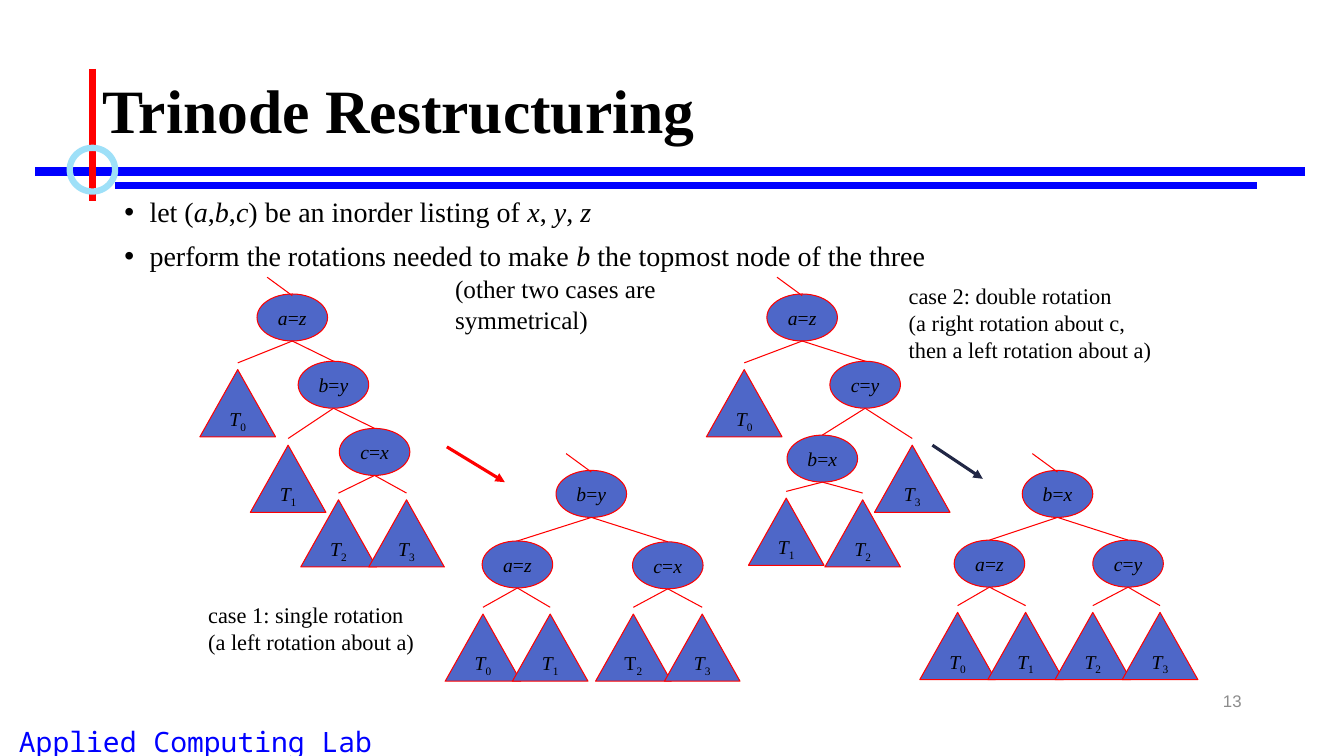
"""Build the slide on trinode restructuring, laid out on a grid of 160 columns by 90 rows."""
import dataclasses
import typing

import lxml.etree
import pptx
import pptx.dml.color
import pptx.enum.shapes
import pptx.enum.text
import pptx.oxml.ns
import pptx.util

RGB = pptx.dml.color.RGBColor
SHAPE = pptx.enum.shapes.MSO_SHAPE
ALIGN = pptx.enum.text.PP_ALIGN
ANCHOR = pptx.enum.text.MSO_ANCHOR

BLACK = RGB(0, 0, 0)
BLUE = RGB(0, 0, 0xFF)
RED = RGB(0xFF, 0, 0)
SKY = RGB(0x9E, 0xE0, 0xF8)
INDIGO = RGB(0x4E, 0x67, 0xC8)
NAVY = RGB(0x21, 0x27, 0x45)
GREY = RGB(0x8C, 0x8C, 0x8C)

SERIF = "Times New Roman"
CELL = pptx.util.Inches(1 / 12)
OVAL = (8.4, 5.6)
WEDGE = (9, 8)
GAP = 0.8
HAIR = 0.75


@dataclasses.dataclass(frozen=True)
class Node:
    label: str
    mid: float
    top: float
    kids: tuple["Node", ...] = ()


@dataclasses.dataclass(frozen=True)
class Rule:
    start: tuple[float, float]
    end: tuple[float, float]
    color: RGB
    width: float
    arrow: bool = False


@dataclasses.dataclass(frozen=True)
class Note:
    lines: tuple[str, ...]
    box: tuple[float, float, float, float]
    size: float
    face: str = SERIF
    color: RGB = BLACK
    align: ALIGN = ALIGN.LEFT
    anchor: ANCHOR = ANCHOR.TOP
    wrap: bool = True


TREES = (
    Node("*a*=*z*", 34.8, 35, (
        Node("*T*_0", 28.3, 44),
        Node("*b*=*y*", 39.7, 43, (
            Node("*T*_1", 34.3, 53),
            Node("*c*=*x*", 44.6, 51, (
                Node("*T*_2", 40.3, 59.5), Node("*T*_3", 48.4, 59.5))))))),
    Node("*b*=*y*", 70.4, 56, (
        Node("*a*=*z*", 61.6, 64.4, (
            Node("*T*_0", 57.5, 73.1), Node("*T*_1", 65.5, 73.1))),
        Node("*c*=*x*", 79.5, 64.5, (
            Node("T_2", 75.4, 73.1), Node("*T*_3", 83.6, 73.1))))),
    Node("*a*=*z*", 95.5, 35, (
        Node("*T*_0", 88.6, 44),
        Node("*c*=*y*", 103, 43, (
            Node("*b*=*x*", 97.9, 51.8, (
                Node("*T*_1", 93.6, 59.3), Node("*T*_2", 102.7, 59.5))),
            Node("*T*_3", 108.6, 53))))),
    Node("*b*=*x*", 125.9, 56, (
        Node("*a*=*z*", 117.8, 64.3, (
            Node("*T*_0", 114, 72.9), Node("*T*_1", 122.1, 72.9))),
        Node("*c*=*y*", 134.3, 64.3, (
            Node("*T*_2", 130.1, 72.9), Node("*T*_3", 138.1, 72.9))))),
)

RULES = (
    Rule((4.2, 20.4), (155.4, 20.4), BLUE, 6),
    Rule((13.7, 22.1), (149.6, 22.1), BLUE, 4.5),
    Rule((11, 8.2), (11, 23.9), RED, 4.5),
)
ARROWS = (
    Rule((53.2, 53.2), (60.1, 57.4), RED, 2.25, True),
    Rule((111, 53), (117, 57), NAVY, 2.25, True),
)
NOTES = (
    Note(("Applied Computing Lab",), (0.5, 85.6, 45.6, 4.4), 20,
         "Noto Sans Mono", BLUE, ALIGN.CENTER, wrap=False),
    Note(("13",), (113, 81, 36, 4.8), 12, "Arial", GREY, ALIGN.RIGHT, ANCHOR.MIDDLE),
    Note(("case 1: single rotation", "(a left rotation about a)"),
         (23.6, 71, 27.2, 7.7), 16, wrap=False),
    Note(("case 2: double rotation", "(a right rotation about c, then a left rotation about a)"),
         (107, 33, 33, 10.8), 16),
    Note(("(other two cases are symmetrical)",), (53, 32, 31.2, 8.5), 18),
)
POINTS = (
    "let (*a*,*b*,*c*) be an inorder listing of *x*, *y*, *z*",
    "perform the rotations needed to make *b* the topmost node of the three",
)


def grid(*cells: float) -> list[int]:
    return [round(cell * CELL) for cell in cells]


def write(para: typing.Any, text: str, size: float, face: str = SERIF, color: RGB = BLACK) -> None:
    font = para.font
    font.size, font.name = pptx.util.Pt(size), face
    font.color.rgb = color
    for turn, part in enumerate(text.split("*")):
        for low, bit in enumerate(part.split("_")):
            if not bit:
                continue
            run = para.add_run()
            run.text = bit
            run.font.color.rgb = color
            if turn % 2:
                run.font.italic = True
            if low:
                run.font._element.set("baseline", "-25000")


def fill(frame: typing.Any, lines: tuple[str, ...], size: float, face: str = SERIF,
         color: RGB = BLACK, align: ALIGN = ALIGN.LEFT) -> None:
    for place, line in enumerate(lines):
        para = frame.add_paragraph() if place else frame.paragraphs[0]
        para.alignment = align
        write(para, line, size, face, color)


def move(shape: typing.Any, *box: float) -> None:
    shape.left, shape.top, shape.width, shape.height = grid(*box)


def rule(slide: typing.Any, item: Rule) -> None:
    kind = pptx.enum.shapes.MSO_CONNECTOR.STRAIGHT
    link = slide.shapes.add_connector(kind, *grid(*item.start, *item.end))
    link.line.color.rgb = item.color
    link.line.width = pptx.util.Pt(item.width)
    name = pptx.oxml.ns.qn
    if item.arrow:
        lxml.etree.SubElement(link.get_or_add_ln(), name("a:tailEnd"), type="triangle")
    lxml.etree.SubElement(link._element.spPr, name("a:effectLst"))


def form(slide: typing.Any, kind: SHAPE, box: tuple[float, ...], edge: RGB, width: float) -> typing.Any:
    shape = slide.shapes.add_shape(kind, *grid(*box))
    shape.shadow.inherit = False
    shape.line.color.rgb = edge
    shape.line.width = pptx.util.Pt(width)
    return shape


def grow(slide: typing.Any, node: Node) -> None:
    kind, size = (SHAPE.OVAL, OVAL) if node.kids else (SHAPE.ISOSCELES_TRIANGLE, WEDGE)
    shape = form(slide, kind, (node.mid - size[0] / 2, node.top, *size), RED, HAIR)
    shape.fill.solid()
    shape.fill.fore_color.rgb = INDIGO
    shape.text_frame.word_wrap = False
    fill(shape.text_frame, (node.label,), 14, align=ALIGN.CENTER)
    for kid in node.kids:
        grow(slide, kid)
        tip = kid.top if kid.kids else kid.top - GAP
        rule(slide, Rule((node.mid, node.top + OVAL[1]), (kid.mid, tip), RED, HAIR))


def jot(slide: typing.Any, note: Note) -> None:
    frame = slide.shapes.add_textbox(*grid(*note.box)).text_frame
    frame.word_wrap = note.wrap
    frame.vertical_anchor = note.anchor
    fill(frame, note.lines, note.size, note.face, note.color, note.align)


def main() -> None:
    deck = pptx.Presentation()
    deck.slide_width, deck.slide_height = grid(160, 90)
    slide = deck.slides.add_slide(deck.slide_layouts[1])
    title, body = slide.placeholders
    move(title, 11, 4.8, 138, 17.4)
    title.text_frame.vertical_anchor = ANCHOR.MIDDLE
    fill(title.text_frame, ("Trinode Restructuring",), 44)
    head = title.text_frame.paragraphs[0]
    head.font.bold = True
    head.line_spacing = 0.9
    move(body, 13.6, 23, 102, 15)
    body.text_frame.auto_size = pptx.enum.text.MSO_AUTO_SIZE.NONE
    fill(body.text_frame, POINTS, 20)
    for para in body.text_frame.paragraphs:
        para.line_spacing = 0.9
        para.space_before = pptx.util.Pt(10)
        inset = para._p.get_or_add_pPr()
        inset.set("marL", str(3 * CELL))
        inset.set("indent", str(-3 * CELL))
    for item in RULES:
        rule(slide, item)
    form(slide, SHAPE.OVAL, (8.3, 17.6, 5.4, 5.2), SKY, 4.5).fill.background()
    for tree in TREES:
        grow(slide, tree)
        rule(slide, Rule((tree.mid, tree.top + 0.2), (tree.mid - 3, tree.top - 2), RED, HAIR))
    for arrow in ARROWS:
        rule(slide, arrow)
    for note in NOTES:
        jot(slide, note)
    deck.save("out.pptx")


if __name__ == "__main__":
    main()
